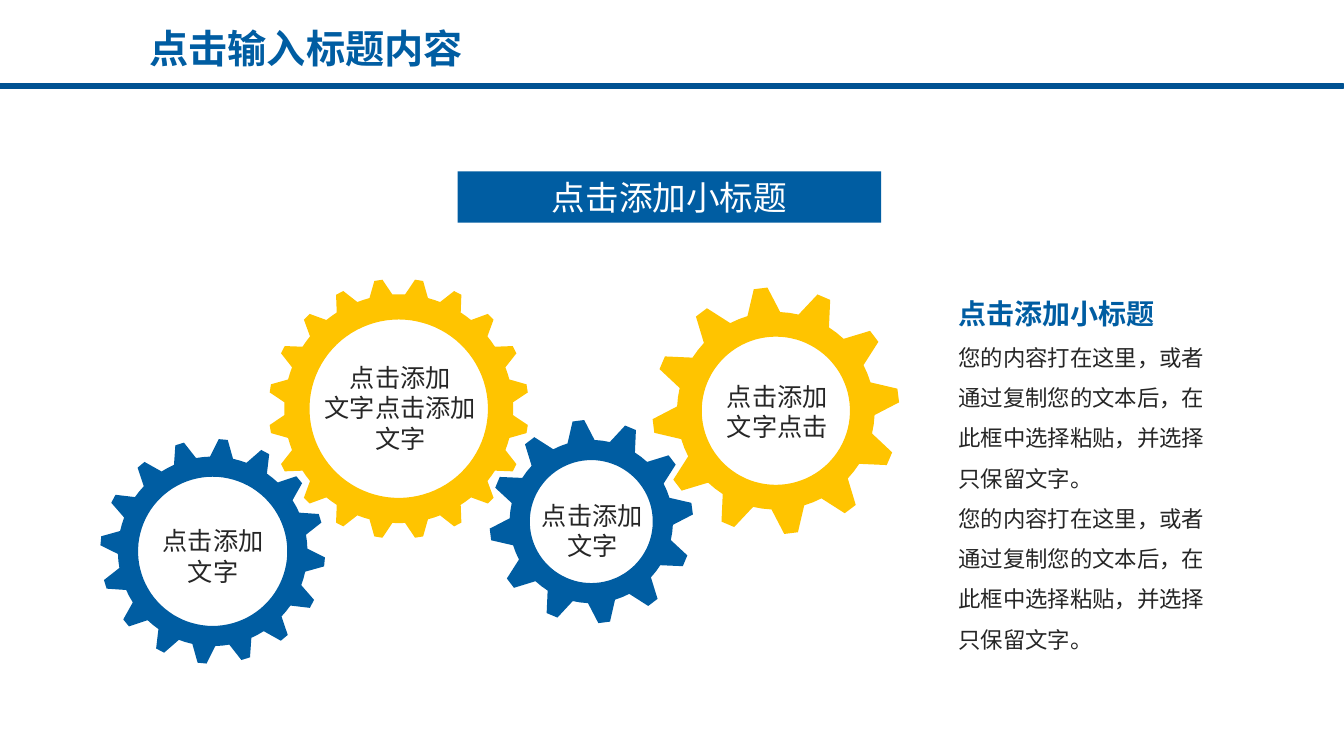
import math
from pptx import Presentation, util as u
from pptx.dml.color import RGBColor
from pptx.enum import shapes, text
from pptx.oxml import parse_xml
from pptx.oxml.ns import nsdecls

BLUE = RGBColor(0x00, 0x5D, 0xA2)
RULE_BLUE = RGBColor(0x00, 0x52, 0x92)
YELLOW = RGBColor(0xFF, 0xC4, 0x00)
INK = RGBColor(0x26, 0x26, 0x26)
WHITE = RGBColor(0xFF, 0xFF, 0xFF)
FONT = "Noto Sans CJK SC"
CENTER = text.PP_ALIGN.CENTER
TOP, MIDDLE = text.MSO_ANCHOR.TOP, text.MSO_ANCHOR.MIDDLE

deck = Presentation()
deck.slide_width, deck.slide_height = u.Inches(13.33), u.Inches(7.5)
COL = deck.slide_width / 133.3
ROW = deck.slide_height / 75
page = deck.slides.add_slide(deck.slide_layouts[5])


def grid(left, top, width, height):
    """Turn columns and rows into slide lengths."""
    return [round(n * step) for n, step in
            zip((left, top, width, height), (COL, ROW, COL, ROW))]


def write(frame, lines, anchor=MIDDLE, align=CENTER, spacing=1.0, **common):
    """Fill a frame with (words, font format) lines."""
    frame.word_wrap, frame.vertical_anchor = True, anchor
    for number, (words, style) in enumerate(lines):
        para = frame.add_paragraph() if number else frame.paragraphs[0]
        para.alignment, para.line_spacing = align, spacing
        span = para.add_run()
        span.text = words
        look = {"name": FONT, "bold": False, **common, **style}
        span.font.color.rgb = look.pop("color")
        for name, value in look.items():
            setattr(span.font, name, value)
        span.font._element.append(
            parse_xml(f'<a:ea {nsdecls("a")} typeface="{FONT}"/>'))


# Title and the rule below it
title = page.shapes.title
title.left, title.top, title.width, title.height = grid(12.4, 1.9, 35.9, 5.7)
write(title.text_frame, [("点击输入标题内容", {})], anchor=TOP,
      size=u.Pt(28), bold=True, color=BLUE)
title.text_frame.auto_size = text.MSO_AUTO_SIZE.NONE

# Rule and subtitle banner
for place, color in (((0, 8.3, 133.2, 0.5), RULE_BLUE),
                     ((45.4, 17, 42, 5.1), BLUE)):
    bar = page.shapes.add_shape(shapes.MSO_SHAPE.RECTANGLE, *grid(*place))
    bar.shadow.inherit = False
    bar.fill.solid()
    bar.fill.fore_color.rgb = color
    if color == RULE_BLUE:
        bar.line.color.rgb, bar.line.width = color, u.Pt(1)
    else:
        bar.line.fill.background()
        write(bar.text_frame, [("点击添加小标题", {})],
              size=u.Pt(24), color=WHITE)

# Gears: centre, hole / root / tip radius, teeth, first tooth angle,
# half angles of tooth tip and base, colour, label box, label lines
gears = [
    ((39.55, 40.55), (8.85, 11.35, 12.9), 20, 9, (1.8, 5.8), YELLOW,
     (31, 35.4, 17.4, 10.1), ["点击添加", "文字点击添加", "文字"]),
    ((58.65, 51.75), (6.1, 8.1, 10.1), 12, -7.3, (3.3, 9.6), BLUE,
     (52.6, 49.1, 12.3, 7.1), ["点击添加", "文字"]),
    ((21.1, 54.7), (7.4, 9.4, 11.15), 16, 5.4, (2.3, 7), BLUE,
     (15, 51.6, 12.3, 7.1), ["点击添加", "文字"]),
    ((76.95, 40.75), (7.35, 9.8, 12.25), 12, -7.1, (3.2, 9.6), YELLOW,
     (68.4, 37.3, 17.4, 7.1), ["点击添加", "文字点击"]),
]
for (mid_x, mid_y), (hole, root, tip), teeth, first, halves, color, place, words in gears:
    tip_half, base_half = halves
    step = 360 / teeth
    tooth = [(root, -base_half), (tip, -tip_half), (tip, tip_half),
             (root, base_half), (root, step / 2)]
    rim = [(radius, first + step * number + angle)
           for number in range(teeth) for radius, angle in tooth]
    bore = [(hole, -angle) for angle in range(0, 360, 4)]
    rings = [[(round((mid_x + radius * math.sin(math.radians(angle))) * COL),
               round((mid_y - radius * math.cos(math.radians(angle))) * ROW))
              for radius, angle in ring] for ring in (rim, bore)]
    outline = page.shapes.build_freeform(*rings[0][0])
    outline.add_line_segments(rings[0][1:], close=True)
    outline.move_to(*rings[1][0])
    outline.add_line_segments(rings[1][1:], close=True)
    gear = outline.convert_to_shape()
    gear.shadow.inherit = False
    gear.fill.solid()
    gear.fill.fore_color.rgb = color
    gear.line.fill.background()
    label = page.shapes.add_textbox(*grid(*place))
    write(label.text_frame, [(line, {}) for line in words],
          size=u.Pt(18), color=INK)

# Explanation on the right
body = "您的内容打在这里，或者通过复制您的文本后，在此框中选择粘贴，并选择只保留文字。"
heading = {"size": u.Pt(20), "bold": True, "color": BLUE}
box = page.shapes.add_textbox(*grid(94.1, 27.3, 28.3, 38.4))
write(box.text_frame, [("点击添加小标题", heading), (body, {}), (body, {})],
      anchor=TOP, align=text.PP_ALIGN.LEFT, spacing=1.5,
      size=u.Pt(16), color=INK)

deck.save("out.pptx")
